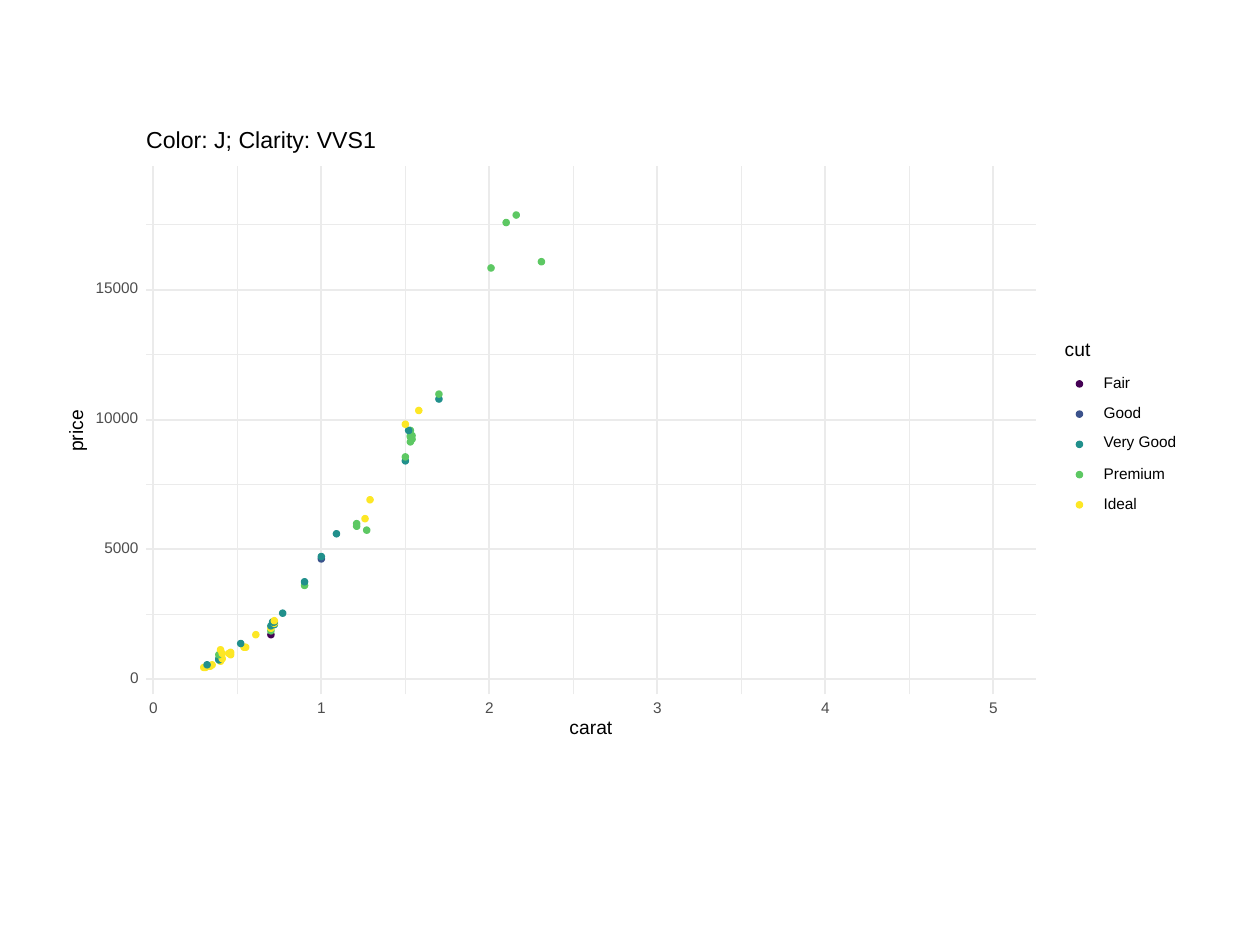
"""Build a slide with a scatter plot of price against carat, coloured by cut."""
from dataclasses import dataclass
from typing import NamedTuple

from lxml import etree
from pptx import Presentation
from pptx.dml.color import RGBColor
from pptx.enum.shapes import MSO_CONNECTOR, MSO_SHAPE
from pptx.enum.text import MSO_ANCHOR, MSO_AUTO_SIZE
from pptx.oxml.ns import qn
from pptx.util import Inches, Pt

STRAIGHT = MSO_CONNECTOR.STRAIGHT
OVAL, RECTANGLE = MSO_SHAPE.OVAL, MSO_SHAPE.RECTANGLE
MIDDLE, NO_AUTOSIZE = MSO_ANCHOR.MIDDLE, MSO_AUTO_SIZE.NONE


@dataclass(frozen=True)
class Theme:
    font: str = "Arial"
    paper: str = "FFFFFF"
    grid: str = "EBEBEB"
    ink: str = "000000"
    tick_ink: str = "4D4D4D"
    title_size: float = 13.2
    axis_size: float = 11
    tick_size: float = 8.8
    paper_line: float = 0.75
    minor_line: float = 0.53
    major_line: float = 1.07
    dot_line: float = 0.71
    dot: float = 0.05


class Panel(NamedTuple):
    left: float = 1.16
    right: float = 8.22
    top: float = 1.32
    bottom: float = 5.51

    def x(self, carat: float) -> float:
        return 1.217 + carat * 4 / 3

    def y(self, price: float) -> float:
        return 5.39 - price * 1.03 / 5000


class Box(NamedTuple):
    left: float
    top: float
    width: float
    height: float


class Cut(NamedTuple):
    name: str
    color: str
    width: float
    height: float = 0.09


class Diamond(NamedTuple):
    carat: float
    price: int
    cut: str


THEME = Theme()
PANEL = Panel()
CUTS = {
    "F": Cut("Fair", "440154", 0.21),
    "G": Cut("Good", "3B528B", 0.3),
    "V": Cut("Very Good", "21908C", 0.58, 0.11),
    "P": Cut("Premium", "5DC863", 0.49),
    "I": Cut("Ideal", "FDE725", 0.27),
}
DIAMONDS = [Diamond(*row) for row in (
    (0.9, 3610, "P"), (0.9, 3750, "V"), (1, 4630, "G"), (1, 4720, "V"),
    (1.09, 5600, "V"), (1.27, 5740, "P"), (1.21, 5890, "P"), (1.21, 5990, "P"),
    (1.26, 6180, "I"), (1.29, 6910, "I"), (1.5, 8410, "V"), (1.5, 8560, "P"),
    (1.53, 9140, "P"), (1.54, 9240, "P"), (1.53, 9330, "P"), (1.54, 9380, "P"),
    (1.53, 9380, "P"), (1.53, 9580, "P"), (1.52, 9580, "V"), (1.5, 9820, "I"),
    (1.58, 10350, "I"), (1.7, 10790, "V"), (1.7, 10980, "P"), (2.01, 15840, "P"),
    (2.31, 16080, "P"), (2.1, 17590, "P"), (2.16, 17880, "P"), (0.4, 690, "I"),
    (0.39, 740, "V"), (0.39, 790, "V"), (0.4, 790, "V"), (0.41, 790, "I"),
    (0.31, 450, "I"), (0.3, 450, "I"), (0.39, 940, "P"), (0.46, 940, "I"),
    (0.45, 990, "I"), (0.41, 990, "I"), (0.46, 1030, "I"), (0.32, 500, "I"),
    (0.4, 1130, "I"), (0.55, 1230, "I"), (0.34, 500, "I"), (0.54, 1230, "I"),
    (0.52, 1370, "V"), (0.33, 500, "I"), (0.7, 1710, "F"), (0.61, 1710, "I"),
    (0.7, 1860, "P"), (0.7, 1960, "I"), (0.7, 2050, "V"), (0.35, 550, "I"),
    (0.72, 2100, "V"), (0.72, 2150, "I"), (0.72, 2200, "V"), (0.71, 2200, "V"),
    (0.32, 550, "V"), (0.72, 2250, "I"), (0.77, 2540, "V"),
)]


def draw_shape(slide, preset, box: Box, color: str, line_width: float) -> None:
    shape = slide.shapes.add_shape(preset, *map(Inches, box))
    shape.shadow.inherit = False
    shape.fill.solid()
    shape.fill.fore_color.rgb = RGBColor.from_string(color)
    shape.line.color.rgb = RGBColor.from_string(color)
    shape.line.width = Pt(line_width)


def draw_dot(slide, x: float, y: float, color: str) -> None:
    size = THEME.dot
    box = Box(x - size / 2, y - size / 2, size, size)
    draw_shape(slide, OVAL, box, color, THEME.dot_line)


def draw_gridline(slide, start: tuple[float, float], end: tuple[float, float],
                  width: float) -> None:
    gridline = slide.shapes.add_connector(STRAIGHT, *map(Inches, start + end))
    gridline.line.color.rgb = RGBColor.from_string(THEME.grid)
    gridline.line.width = Pt(width)
    etree.SubElement(gridline._element.spPr, qn("a:effectLst"))


def draw_grid(slide, prices: range, carats: list[float], width: float) -> None:
    for price in prices:
        y = PANEL.y(price)
        draw_gridline(slide, (PANEL.left, y), (PANEL.right, y), width)
    for carat in carats:
        x = PANEL.x(carat)
        draw_gridline(slide, (x, PANEL.bottom), (x, PANEL.top), width)


def draw_label(slide, text: str, box: Box, size: float, color: str = THEME.ink,
               rotation: float = 0) -> None:
    label = slide.shapes.add_textbox(*map(Inches, box))
    label.rotation = rotation
    frame = label.text_frame
    frame.margin_left = frame.margin_right = frame.margin_top = frame.margin_bottom = 0
    frame.word_wrap = False
    frame.auto_size = NO_AUTOSIZE
    frame.vertical_anchor = MIDDLE
    frame.text = text
    paragraph = frame.paragraphs[0]
    paragraph.line_spacing = Pt(size)
    font = paragraph.runs[0].font
    font.name = THEME.font
    font.size = Pt(size)
    font.color.rgb = RGBColor.from_string(color)


def draw_ticks(slide, prices: range, carats: list[float]) -> None:
    digit, height = 0.068, 0.09
    for price in prices:
        width = digit * len(str(price))
        box = Box(1.1 - width, PANEL.y(price) - 0.05, width, height)
        draw_label(slide, str(price), box, THEME.tick_size, THEME.tick_ink)
    for carat in carats:
        box = Box(PANEL.x(carat) - digit / 2, 5.58, digit, height)
        draw_label(slide, str(carat), box, THEME.tick_size, THEME.tick_ink)


def draw_legend(slide) -> None:
    draw_label(slide, "cut", Box(8.45, 2.73, 0.2, 0.11), THEME.axis_size)
    for row, cut in enumerate(CUTS.values()):
        offset = 0.24 * row
        draw_dot(slide, 8.567, 3.047 + offset, cut.color)
        box = Box(8.76, 3.09 + offset - cut.height, cut.width, cut.height)
        draw_label(slide, cut.name, box, THEME.tick_size)


def main() -> None:
    deck = Presentation()
    deck.slide_width, deck.slide_height = Inches(10), Inches(7.5)
    slide = deck.slides.add_slide(deck.slide_layouts[6])
    prices, carats = range(0, 15001, 5000), list(range(6))

    draw_shape(slide, RECTANGLE, Box(0.5, 1, 9, 4.95), THEME.paper, THEME.paper_line)
    draw_grid(slide, range(2500, 17501, 5000), [carat + 0.5 for carat in range(5)],
              THEME.minor_line)
    draw_grid(slide, prices, carats, THEME.major_line)
    for diamond in DIAMONDS:
        draw_dot(slide, PANEL.x(diamond.carat), PANEL.y(diamond.price),
                 CUTS[diamond.cut].color)
    draw_ticks(slide, prices, carats)
    draw_label(slide, "carat", Box(4.52, 5.73, 0.34, 0.11), THEME.axis_size)
    draw_label(slide, "price", Box(0.45, 3.35, 0.33, 0.14), THEME.axis_size, rotation=270)
    draw_legend(slide)
    draw_label(slide, "Color: J; Clarity: VVS1", Box(1.16, 1.04, 1.82, 0.17),
               THEME.title_size)
    deck.save("out.pptx")


if __name__ == "__main__":
    main()
